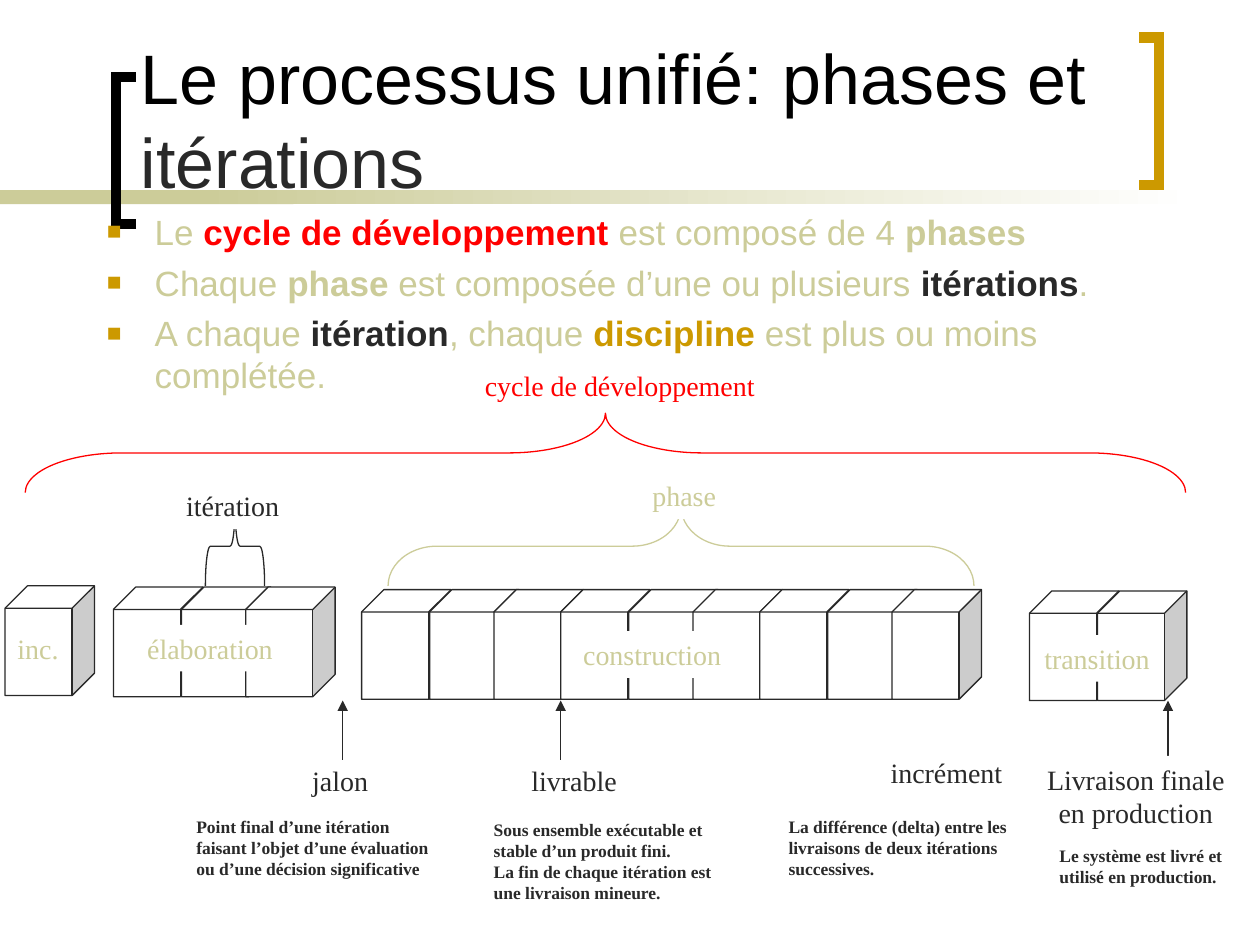
from dataclasses import dataclass

from lxml import etree
from pptx import Presentation
from pptx.dml.color import RGBColor
from pptx.enum.shapes import MSO_CONNECTOR, MSO_SHAPE
from pptx.enum.text import MSO_ANCHOR, MSO_AUTO_SIZE, PP_ALIGN
from pptx.oxml.ns import qn
from pptx.util import Inches, Pt

RECT, CUBE, BRACE = MSO_SHAPE.RECTANGLE, MSO_SHAPE.CUBE, MSO_SHAPE.LEFT_BRACE
STRAIGHT = MSO_CONNECTOR.STRAIGHT
TOP, BOTTOM = MSO_ANCHOR.TOP, MSO_ANCHOR.BOTTOM
LEFT, CENTER = PP_ALIGN.LEFT, PP_ALIGN.CENTER
GROW, FIXED = MSO_AUTO_SIZE.SHAPE_TO_FIT_TEXT, MSO_AUTO_SIZE.NONE


@dataclass(frozen=True)
class Theme:
    black: str = "000000"
    white: str = "FFFFFF"
    ink: str = "292929"
    sand: str = "CCCC99"
    gold: str = "CC9900"
    red: str = "FF0000"
    sans: str = "Arial"
    serif: str = "Times New Roman"
    title: int = 40
    body: int = 20
    label: int = 16
    note: int = 10
    thin: float = 0.75
    thick: float = 6


T = Theme()

TITLE = [[("Le processus unifié: phases et ", T.black, False), ("itérations", T.ink, False)]]
BULLETS = [
    [("Le ", T.sand, False), ("cycle de développement", T.red, True),
     (" est composé de 4 ", T.sand, False), ("phases", T.sand, True)],
    [("Chaque ", T.sand, False), ("phase", T.sand, True),
     (" est composée d’une ou plusieurs ", T.sand, False),
     ("itérations", T.ink, True), (".", T.sand, False)],
    [("A chaque ", T.sand, False), ("itération", T.ink, True),
     (", chaque ", T.sand, False), ("discipline", T.gold, True),
     (" est plus ou moins complétée.", T.sand, False)],
]
BRACKETS = [
    ([(1.08, 1.78), (0.92, 1.78), (0.92, 0.61), (1.08, 0.61)], T.black),
    ([(9.04, 0.3), (9.2, 0.3), (9.2, 1.47), (9.04, 1.47)], T.gold),
]
PHASES = [
    ("inc.", 1, (0.04, 4.65), (0.04, 4.96, 0.52, 0.37), None),
    ("élaboration", 3, (0.9, 4.66), (1.07, 4.96, 1.19, 0.37), T.white),
    ("construction", 9, (2.87, 4.68), (4.53, 5.01, 1.29, 0.37), T.white),
    ("transition", 2, (8.17, 4.69), (8.19, 5.04, 1.04, 0.37), T.white),
]
CUBE_SIZE = (0.71, 0.87)
CUBE_OFFSETS = (0, 0.54, 1.05)
CUBE_PERIOD = 1.58
BRACES = [
    ("itération", (1.38, 3.83, 0.94, 0.37), (1.55, 4.1, 0.63, 0.47), T.ink),
    ("phase", (5.08, 3.75, 0.7, 0.37), (5.09, 2.01, 0.63, 4.65), T.sand),
    ("cycle de développement", (3.75, 2.88, 2.34, 0.37), (4.49, -1.01, 0.63, 9.21), T.red),
]
ARROWS_X = (2.72, 4.45, 9.27)
ARROW_TOP, ARROW_BOTTOM = 5.56, 6.03
MILESTONES = [
    ("jalon", (2.38, 6.01, 0.64, 0.37)),
    ("livrable", (4.12, 6.01, 0.87, 0.37)),
    ("incrément", (6.97, 5.95, 1.08, 0.37)),
]
DELIVERY = ("Livraison finale en production", (8.15, 6, 1.73, 0.64))
NOTES = [
    (["Point final d’une itération faisant l’objet d’une évaluation ou d’une décision significative"],
     (1.46, 6.43, 2.15, 0.6), None),
    (["Sous ensemble exécutable et stable d’un produit fini.",
      "La fin de chaque itération est une livraison mineure."],
     (3.82, 6.45, 2.15, 0.77), None),
    (["La différence (delta) entre les livraisons de deux itérations successives."],
     (6.16, 6.43, 2.15, 0.6), None),
    (["Le système est livré et utilisé en production."], (8.31, 6.66, 1.69, 0.44), T.white),
]

prs = Presentation()
prs.slide_width, prs.slide_height = Inches(10), Inches(7.5)
s = prs.slides.add_slide(prs.slide_layouts[6])


def rgb(color):
    return RGBColor.from_string(color)


def paint(sp, fill=None, line=None, width=T.thin):
    sp.shadow.inherit = False
    if fill:
        sp.fill.solid()
        sp.fill.fore_color.rgb = rgb(fill)
    else:
        sp.fill.background()
    if line:
        sp.line.color.rgb = rgb(line)
        sp.line.width = Pt(width)
    else:
        sp.line.fill.background()


def add_shape(kind, box, **style):
    sp = s.shapes.add_shape(kind, *map(Inches, box))
    paint(sp, **style)
    return sp


def add_bullet(p):
    pPr = p._p.get_or_add_pPr()
    pPr.set("marL", str(Inches(0.38)))
    pPr.set("indent", str(-Inches(0.38)))
    color = etree.SubElement(pPr, qn("a:buClr"))
    etree.SubElement(color, qn("a:srgbClr"), val=T.gold)
    etree.SubElement(pPr, qn("a:buSzPct"), val="70000")
    etree.SubElement(pPr, qn("a:buFont"), typeface=T.sans)
    etree.SubElement(pPr, qn("a:buChar"), char="■")


def add_text(paragraphs, box, size=T.label, font=T.serif, color=T.ink, bold=False, fill=None,
             align=LEFT, anchor=TOP, wrap=False, fit=FIXED, before=0, bullet=False):
    sp = s.shapes.add_textbox(*map(Inches, box))
    if fill:
        sp.fill.solid()
        sp.fill.fore_color.rgb = rgb(fill)
    tf = sp.text_frame
    tf.word_wrap, tf.auto_size, tf.vertical_anchor = wrap, fit, anchor
    if not wrap:
        tf.margin_right = 0
    for i, runs in enumerate(paragraphs):
        p = tf.paragraphs[0] if i == 0 else tf.add_paragraph()
        p.alignment = align
        p.space_before = Pt(before)
        if bullet:
            add_bullet(p)
        if isinstance(runs, str):
            runs = [(runs, color, bold)]
        for text, run_color, run_bold in runs:
            r = p.add_run()
            r.text = text
            r.font.name, r.font.size, r.font.bold = font, Pt(size), run_bold
            r.font.color.rgb = rgb(run_color)


def add_bracket(points, color):
    start, *rest = [(Inches(x), Inches(y)) for x, y in points]
    builder = s.shapes.build_freeform(*start)
    builder.add_line_segments(rest, close=False)
    sp = builder.convert_to_shape()
    paint(sp, line=color, width=T.thick)
    etree.SubElement(sp._element.spPr.get_or_add_ln(), qn("a:miter"), lim="800000")


def add_arrow(x):
    sp = s.shapes.add_connector(STRAIGHT, *map(Inches, (x, ARROW_TOP, x, ARROW_BOTTOM)))
    sp.line.color.rgb = rgb(T.ink)
    sp.line.width = Pt(T.thin)
    spPr = sp._element.spPr
    etree.SubElement(spPr.get_or_add_ln(), qn("a:headEnd"), type="triangle")
    etree.SubElement(spPr, qn("a:effectLst"))


add_shape(RECT, (0, 1.51, 2.33, 0.11), fill=T.sand)
band = add_shape(RECT, (1.58, 1.51, 7.92, 0.11))
band.fill.gradient()
band.fill.gradient_angle = 0
for stop, color in zip(band.fill.gradient_stops, (T.sand, T.white)):
    stop.color.rgb = rgb(color)

for points, color in BRACKETS:
    add_bracket(points, color)

add_text(TITLE, (1.02, 0.11, 7.83, 1.55), size=T.title, font=T.sans, anchor=BOTTOM, wrap=True)
add_text(BULLETS, (0.75, 1.62, 8.5, 4.5), size=T.body, font=T.sans,
         wrap=True, before=5, bullet=True)

for name, count, (left, top), box, fill in PHASES:
    for i in range(count):
        group, place = divmod(i, len(CUBE_OFFSETS))
        x = left + group * CUBE_PERIOD + CUBE_OFFSETS[place]
        add_shape(CUBE, (x, top, *CUBE_SIZE), fill=T.white, line=T.ink).adjustments[0] = 0.25
    add_text([name], box, color=T.sand, fill=fill, fit=GROW)

for name, label_box, box, color in BRACES:
    sp = add_shape(BRACE, box, line=color)
    sp.rotation = 90
    width, height = box[2:]
    sp.adjustments[0] = height / 12 / min(width, height)
    add_text([name], label_box, color=color, fill=T.white, fit=GROW)

for x in ARROWS_X:
    add_arrow(x)
for name, box in MILESTONES:
    add_text([name], box, fit=GROW)
add_text([DELIVERY[0]], DELIVERY[1], fill=T.white, align=CENTER, wrap=True, fit=GROW)
for paragraphs, box, fill in NOTES:
    add_text(paragraphs, box, size=T.note, bold=True, fill=fill, wrap=True, fit=GROW)

prs.save("out.pptx")
